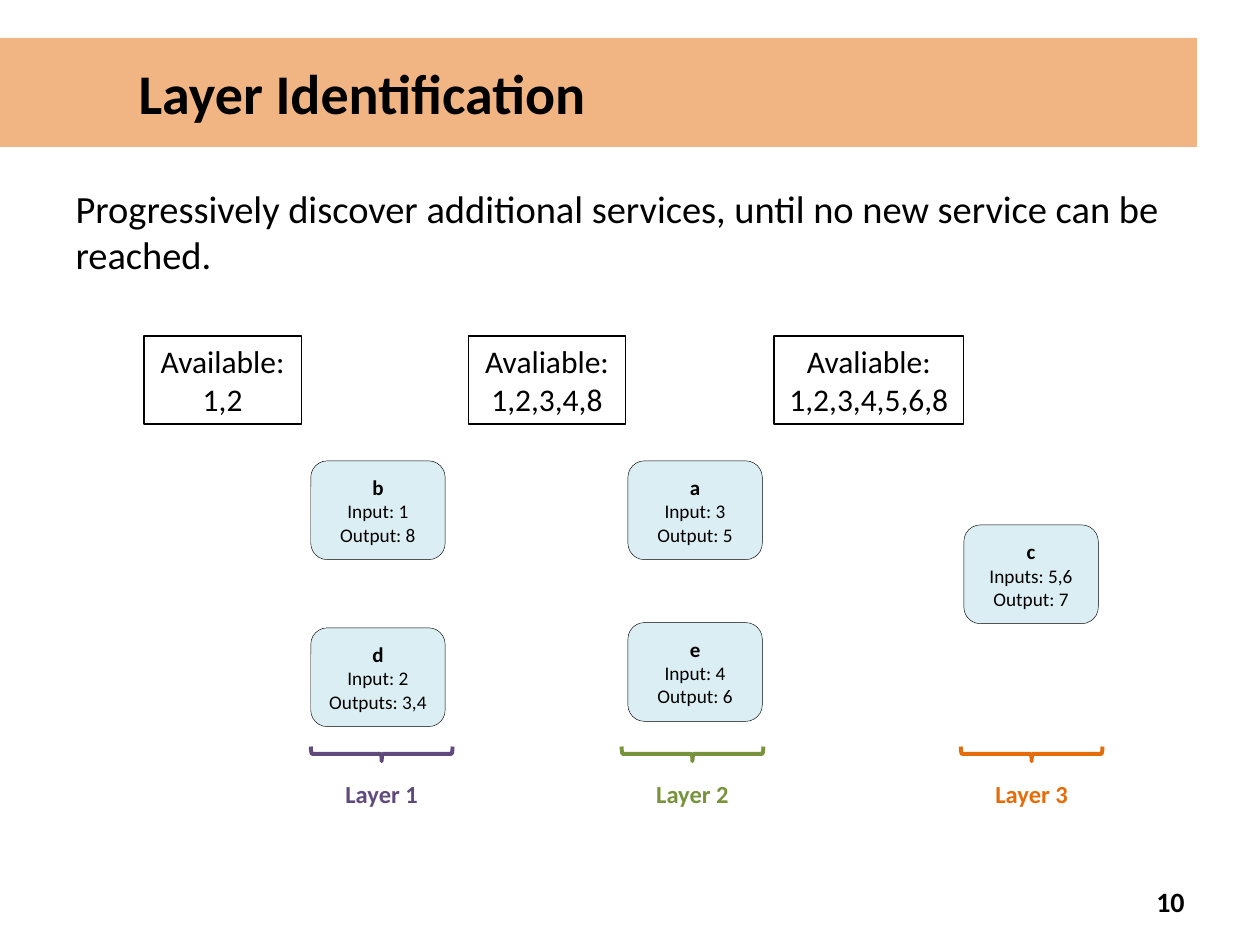
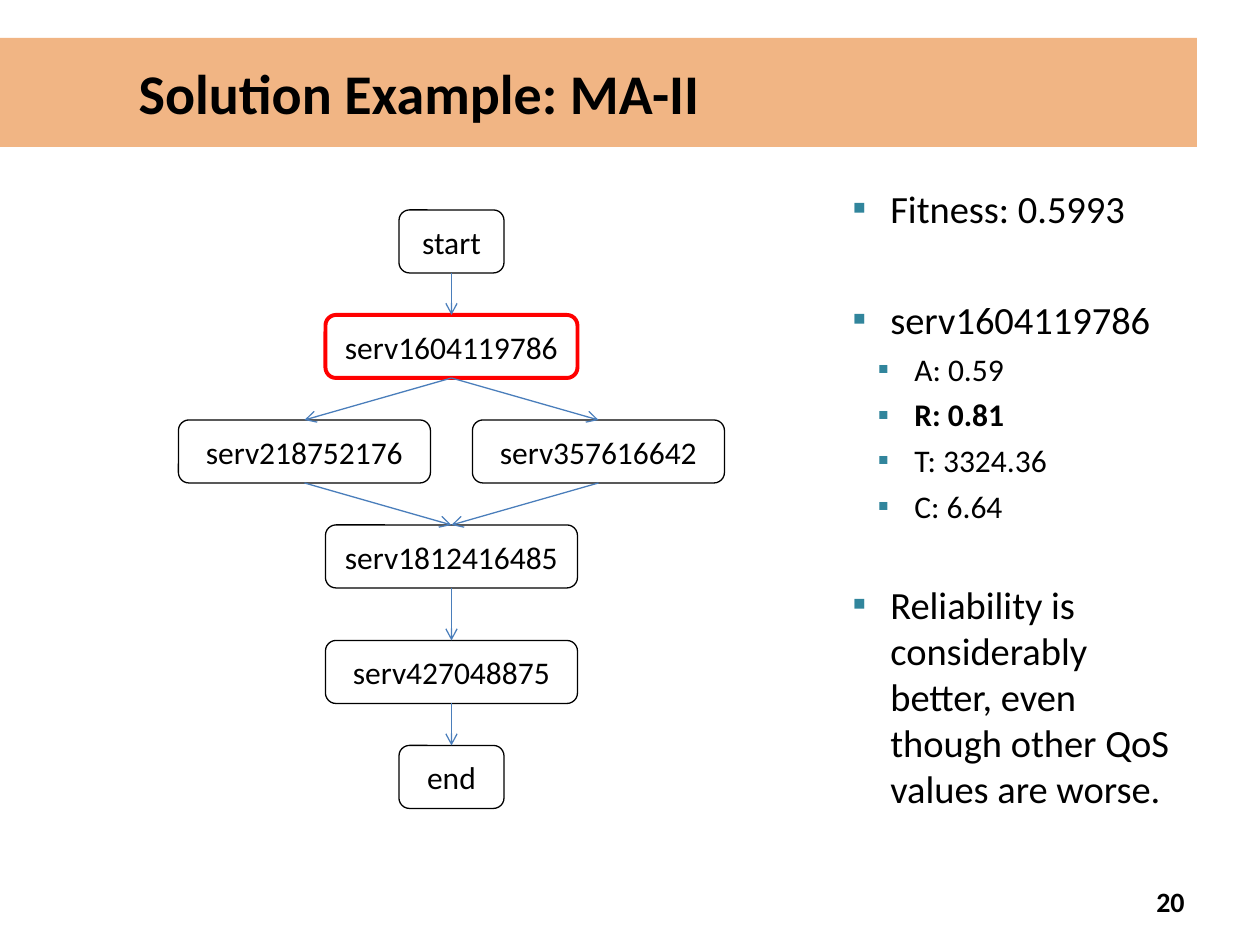
import lxml.etree
import pptx
import pptx.dml.color
import pptx.enum.shapes
import pptx.enum.text
import pptx.oxml.ns
import pptx.util

SHAPE = pptx.enum.shapes.MSO_SHAPE
ALIGN = pptx.enum.text.PP_ALIGN
ANCHOR = pptx.enum.text.MSO_ANCHOR
Pt = pptx.util.Pt
Inches = pptx.util.Inches


def hue(code):
    return pptx.dml.color.RGBColor.from_string(code)


def add(parent, tag, **attrs):
    return lxml.etree.SubElement(parent, pptx.oxml.ns.qn(tag), attrs)


class Deck:
    FONT = "Calibri"
    BLACK, WHITE = "000000", "FFFFFF"
    ORANGE, TEAL, SKY = "E46C0A", "31859C", "DBEEF4"
    RED, BLUE = "FF0000", "4A7EBB"
    COLS, ROWS = 120, 90

    def __init__(self):
        self.prs = pptx.Presentation()
        self.prs.slide_width = Inches(10)
        self.prs.slide_height = Inches(7.5)
        self.slide = None

    def grid(self, col, row, wide, high):
        x = self.prs.slide_width / self.COLS
        y = self.prs.slide_height / self.ROWS
        return int(col * x), int(row * y), int(wide * x), int(high * y)

    def place(self, shape, *cells):
        shape.left, shape.top, shape.width, shape.height = self.grid(*cells)

    def frame(self, shape, anchor=ANCHOR.TOP, side=0.1, edge=0.05):
        frame = shape.text_frame
        frame.word_wrap = True
        frame.auto_size = pptx.enum.text.MSO_AUTO_SIZE.NONE
        frame.vertical_anchor = anchor
        frame.margin_left = frame.margin_right = Inches(side)
        frame.margin_top = frame.margin_bottom = Inches(edge)
        return frame

    def para(self, frame, index, align=ALIGN.LEFT, before=0):
        para = frame.add_paragraph() if index else frame.paragraphs[0]
        para.alignment = align
        para.space_before = Pt(before)
        return para

    def run(self, para, text, size, bold=False, color=BLACK):
        run = para.add_run()
        run.text = text
        run.font.name = self.FONT
        run.font.size = Pt(size)
        run.font.bold = bold
        run.font.color.rgb = hue(color)

    def start(self, title, number):
        layout = self.prs.slide_layouts[1]
        self.slide = self.prs.slides.add_slide(layout)
        band = self.slide.shapes.title
        self.place(band, 0, 3.6, 114, 10.4)
        band.fill.solid()
        band.fill.fore_color.rgb = hue(self.ORANGE)
        tint = band.element.spPr.find(".//" + pptx.oxml.ns.qn("a:srgbClr"))
        add(tint, "a:alpha", val="50000")
        frame = self.frame(band, ANCHOR.MIDDLE)
        frame.margin_left = Inches(1.1)
        self.run(self.para(frame, 0), title, 32, True)
        self.label(number, 86, 83.4, 28, 4.8, 16, align=ALIGN.RIGHT)

    def body(self, *cells):
        shape = self.slide.placeholders[1]
        self.place(shape, *cells)
        return self.frame(shape)

    def plain(self, text, *cells):
        para = self.para(self.body(*cells), 0)
        props = para._p.get_or_add_pPr()
        props.set("marL", "0")
        props.set("indent", "0")
        add(props, "a:buNone")
        self.run(para, text, 22)

    def bullets(self, items, *cells):
        frame = self.body(*cells)
        for index, (level, before, text, bold) in enumerate(items):
            para = self.para(frame, index, before=before)
            para.level = level
            props = para._p.get_or_add_pPr()
            props.set("marL", str(Inches((0.3, 0.49)[level])))
            props.set("indent", str(-Inches((0.3, 0.29)[level])))
            add(add(props, "a:buClr"), "a:srgbClr", val=self.TEAL)
            add(props, "a:buFont", typeface=self.FONT)
            add(props, "a:buChar", char="▪")
            self.run(para, text, (22, 18)[level], bold)

    def label(self, text, col, row, wide, high, size,
              color=BLACK, align=ALIGN.CENTER):
        box = self.slide.shapes.add_textbox(*self.grid(col, row, wide, high))
        frame = self.frame(box, ANCHOR.MIDDLE)
        self.run(self.para(frame, 0, align), text, size, True, color)

    def shape(self, kind, cells, line, weight, fill=None):
        shape = self.slide.shapes.add_shape(kind, *self.grid(*cells))
        shape.shadow.inherit = False
        if fill:
            shape.fill.solid()
            shape.fill.fore_color.rgb = hue(fill)
        else:
            shape.fill.background()
        shape.line.color.rgb = hue(line)
        shape.line.width = Pt(weight)
        return shape

    def state(self, text, col, wide):
        box = self.shape(SHAPE.RECTANGLE, (col, 32, wide, 8.4),
                         self.BLACK, 0.75, self.WHITE)
        para = self.para(self.frame(box), 0, ALIGN.CENTER)
        self.run(para, text, 18)

    def card(self, name, needs, gives, col, row):
        card = self.shape(SHAPE.ROUNDED_RECTANGLE, (col, row, 12.8, 9.4),
                          self.BLACK, 0.25, self.SKY)
        frame = self.frame(card, ANCHOR.MIDDLE)
        for index, text in enumerate((name, needs, gives)):
            para = self.para(frame, index, ALIGN.CENTER)
            self.run(para, text, 11 if index else 12, not index)

    def layer(self, text, col, color):
        wide, deep = 13.5, 1.4
        brace = self.shape(SHAPE.RIGHT_BRACE,
                           (col + (wide - deep) / 2, 71.8 - wide / 2, deep, wide),
                           color, 2.25)
        brace.rotation = 90
        self.label(text, col, 73.6, wide, 4, 14, color)

    def node(self, text, mid, row, wide, hot):
        node = self.shape(SHAPE.ROUNDED_RECTANGLE,
                          (mid - wide / 2, row, wide, 6),
                          self.RED if hot else self.BLACK,
                          2.25 if hot else 0, self.WHITE)
        frame = self.frame(node, ANCHOR.MIDDLE, 0, 0)
        self.run(self.para(frame, 0, ALIGN.CENTER), text, 18)
        return node

    def arrow(self, head, tail):
        link = self.slide.shapes.add_connector(
            pptx.enum.shapes.MSO_CONNECTOR.STRAIGHT, 0, 0, 0, 0)
        link.begin_connect(head, 2)
        link.end_connect(tail, 0)
        link.line.color.rgb = hue(self.BLUE)
        link.line.width = Pt(0.75)
        add(link.line._get_or_add_ln(), "a:tailEnd", type="arrow")
        add(link._element.spPr, "a:effectLst")


def layers(deck):
    deck.start("Layer Identification", "10")
    deck.plain("Progressively discover additional services, "
               "until no new service can be reached.", 6, 17, 108, 11)
    for text, col, wide in (("Available: 1,2", 13.7, 15),
                            ("Avaliable: 1,2,3,4,8", 44.6, 15),
                            ("Avaliable: 1,2,3,4,5,6,8", 73.7, 18.1)):
        deck.state(text, col, wide)
    for card in (("b", "Input: 1", "Output: 8", 29.6, 43.9),
                 ("d", "Input: 2", "Outputs: 3,4", 29.6, 59.8),
                 ("a", "Input: 3", "Output: 5", 59.8, 43.9),
                 ("e", "Input: 4", "Output: 6", 59.8, 59.3),
                 ("c", "Inputs: 5,6", "Output: 7", 91.8, 50)):
        deck.card(*card)
    marks = ((29.6, "604A7B"), (59.2, "77933C"), (91.5, deck.ORANGE))
    for index, (col, color) in enumerate(marks, 1):
        deck.layer(f"Layer {index}", col, color)


def result(deck):
    deck.start("Solution Example: MA-II", "20")
    mid, side = 43, 14
    nodes = [deck.node(*item) for item in (
        ("start", mid, 20, 10, False),
        ("serv1604119786", mid, 30, 24, True),
        ("serv218752176", mid - side, 40, 24, False),
        ("serv357616642", mid + side, 40, 24, False),
        ("serv1812416485", mid, 50, 24, False),
        ("serv427048875", mid, 61, 24, False),
        ("end", mid, 71, 10, False))]
    for head, tail in ((0, 1), (1, 2), (1, 3), (2, 4), (3, 4), (4, 5), (5, 6)):
        deck.arrow(nodes[head], nodes[tail])
    deck.bullets((
        (0, 0, "Fitness: 0.5993", False),
        (0, 37, "serv1604119786", False),
        (1, 4.5, "A: 0.59", False),
        (1, 4.5, "R: 0.81", True),
        (1, 4.5, "T: 3324.36", False),
        (1, 4.5, "C: 6.64", False),
        (0, 32, "Reliability is considerably better, "
                "even though other QoS values are worse.", False),
    ), 80, 17, 34, 65)


def main():
    deck = Deck()
    layers(deck)
    result(deck)
    deck.prs.save("out.pptx")


if __name__ == "__main__":
    main()
